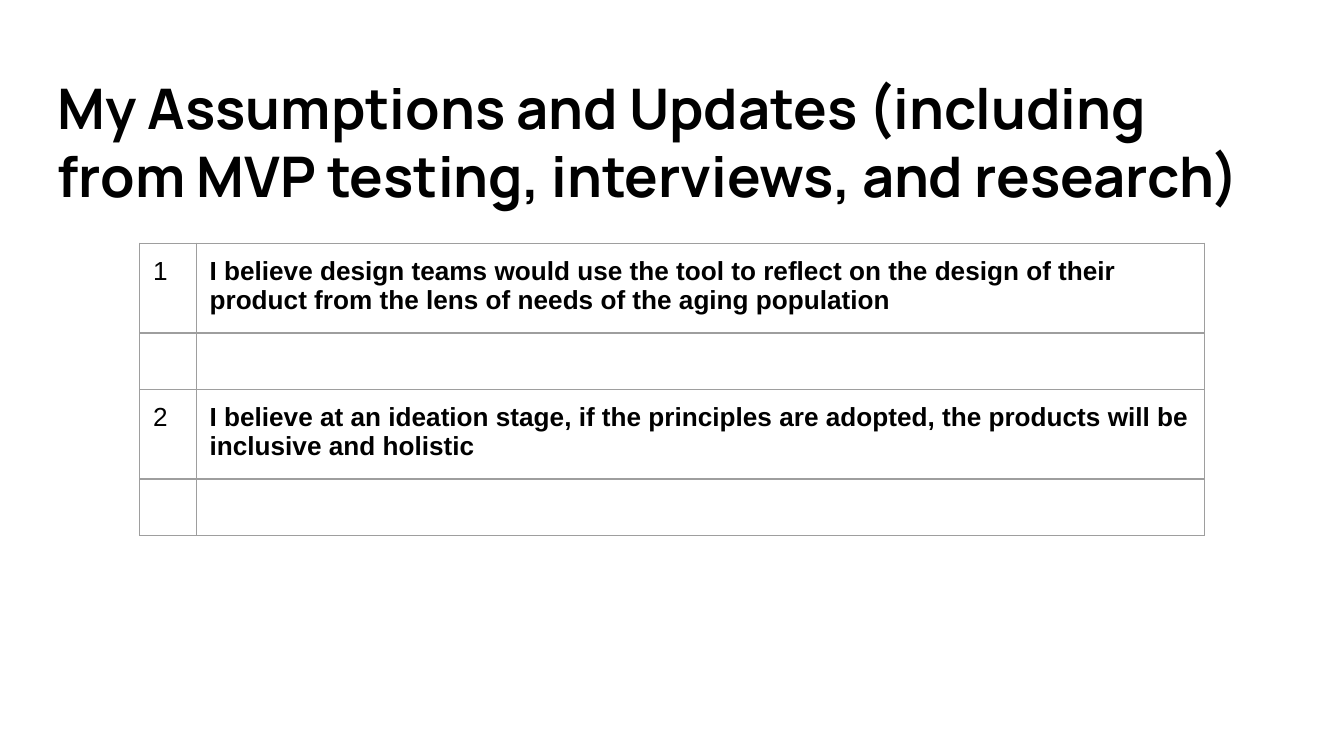
import pptx
import pptx.dml.color
import pptx.enum.text
import pptx.oxml
import pptx.oxml.ns
import pptx.util
from pptx.util import Inches

BLACK = pptx.dml.color.RGBColor(0x00, 0x00, 0x00)
BORDER_GRAY = pptx.dml.color.RGBColor(0x9E, 0x9E, 0x9E)
ASSUMPTIONS = [
    "I believe design teams would use the tool to reflect on the design of their "
    "product from the lens of needs of the aging population",
    "I believe at an ideation stage, if the principles are adopted, the products "
    "will be inclusive and holistic",
]


def write_text(text_frame, text, font="Arial", size=14, bold=False):
    text_frame.word_wrap = True
    run = text_frame.paragraphs[0].add_run()
    run.text = text
    run.font.name = font
    run.font.size = pptx.util.Pt(size)
    run.font.bold = bold
    run.font.color.rgb = BLACK


def add_borders(cell):
    properties = cell._tc.get_or_add_tcPr()
    for position, side in enumerate(("lnL", "lnR", "lnT", "lnB")):
        line = pptx.oxml.parse_xml(
            f'<a:{side} {pptx.oxml.ns.nsdecls("a")} w="{pptx.util.Pt(0.75)}">'
            f'<a:solidFill><a:srgbClr val="{BORDER_GRAY}"/></a:solidFill></a:{side}>'
        )
        properties.insert(position, line)


presentation = pptx.Presentation()
presentation.slide_width = Inches(10)
presentation.slide_height = presentation.slide_width * 9 // 16
slide = presentation.slides.add_slide(presentation.slide_layouts[6])

title = slide.shapes.add_textbox(Inches(0.33), Inches(0.45), Inches(9.32), Inches(0.7))
title_frame = title.text_frame
title_frame.margin_left = title_frame.margin_right = Inches(0.1)
title_frame.margin_top = title_frame.margin_bottom = Inches(0.1)
title_frame.vertical_anchor = pptx.enum.text.MSO_ANCHOR.TOP
write_text(
    title_frame,
    "My Assumptions and Updates (including from MVP testing, interviews, and research)",
    font="Manrope", size=30, bold=True,
)

# Each assumption row is followed by an empty row for its update.
row_count = 2 * len(ASSUMPTIONS)
table = slide.shapes.add_table(
    row_count, 2, Inches(1.04), Inches(1.81), Inches(7.92), Inches(0.42 * row_count)
).table
table.first_row = False
table.horz_banding = False
for column, width in zip(table.columns, (0.42, 7.5)):
    column.width = Inches(width)
for row in table.rows:
    row.height = Inches(0.42)
    for cell in row.cells:
        cell.fill.background()
        add_borders(cell)

for index, assumption in enumerate(ASSUMPTIONS):
    for column, text in enumerate((str(index + 1), assumption)):
        cell = table.cell(2 * index, column)
        cell.margin_left = cell.margin_right = Inches(0.1)
        cell.margin_top = cell.margin_bottom = Inches(0.1)
        write_text(cell.text_frame, text, bold=column == 1)

presentation.save("out.pptx")
